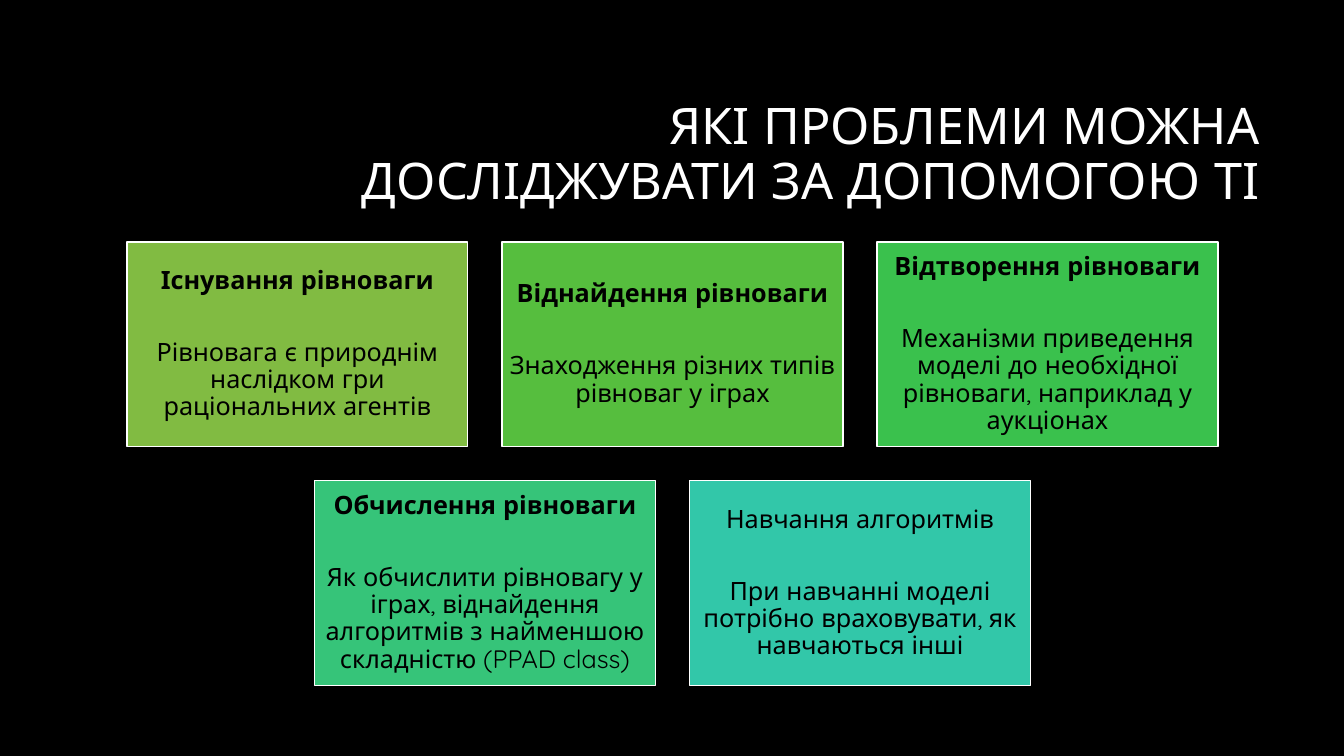
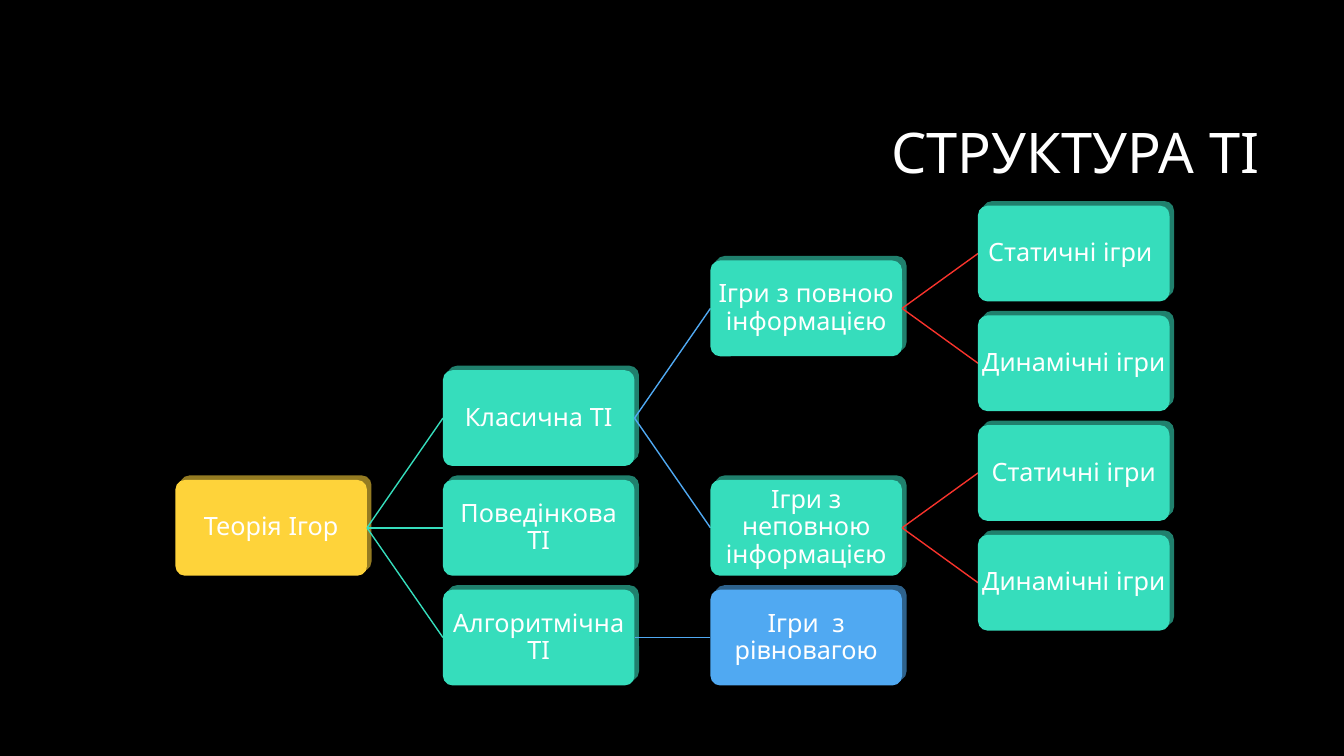
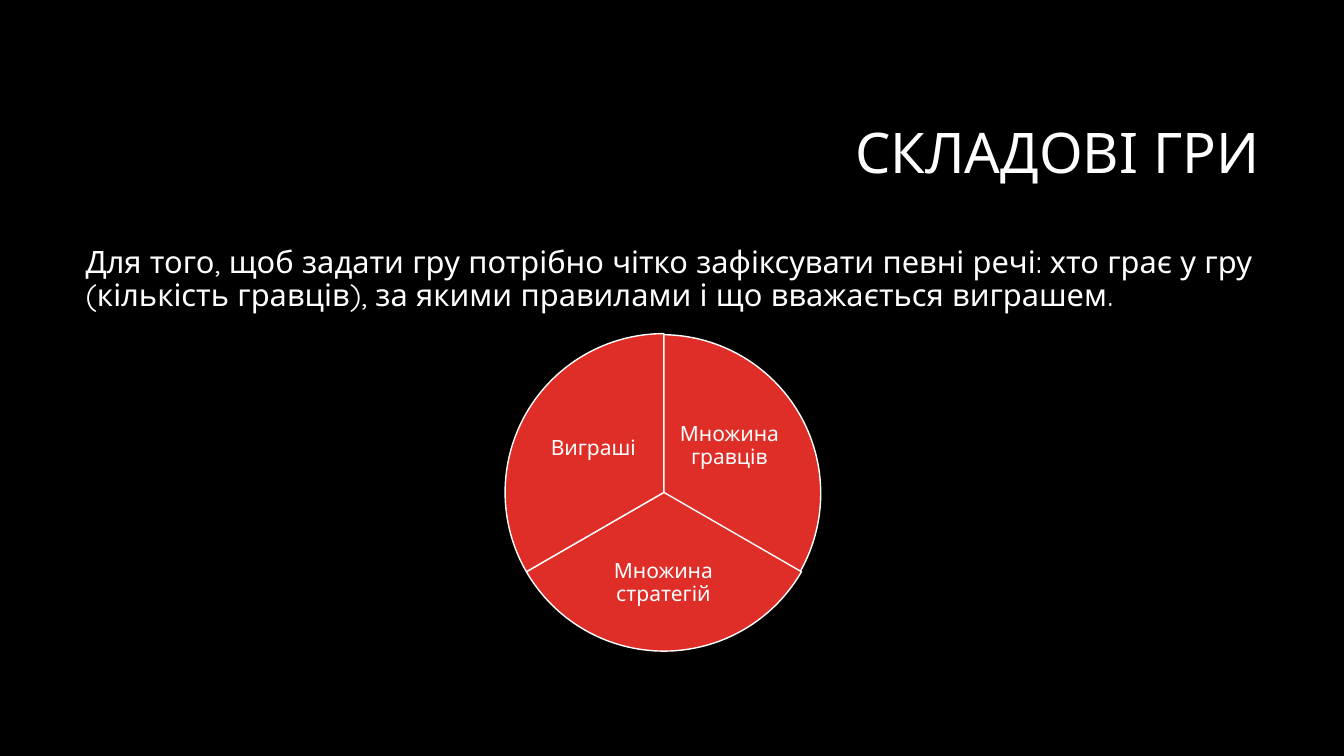
from dataclasses import dataclass
from typing import Any, NamedTuple

from lxml.etree import SubElement
from pptx import Presentation
from pptx.dml.color import RGBColor
from pptx.enum.shapes import MSO_CONNECTOR as Connector, MSO_SHAPE as Preset
from pptx.enum.text import MSO_ANCHOR as Anchor, PP_ALIGN as Align
from pptx.oxml.ns import qn
from pptx.util import Inches, Pt

BLACK = RGBColor(0x00, 0x00, 0x00)
WHITE = RGBColor(0xFF, 0xFF, 0xFF)
OLIVE = RGBColor(0x81, 0xBB, 0x42)
GRASS = RGBColor(0x56, 0xBE, 0x3E)
GREEN = RGBColor(0x3A, 0xC1, 0x4D)
JADE = RGBColor(0x36, 0xC4, 0x79)
TEAL = RGBColor(0x32, 0xC7, 0xA9)
RED = RGBColor(0xDF, 0x2E, 0x28)
BRIGHT_TEAL = RGBColor(0x36, 0xDD, 0xBC)
BRIGHT_BLUE = RGBColor(0x50, 0xA9, 0xF2)
BRIGHT_YELLOW = RGBColor(0xFE, 0xD3, 0x3A)
BRIGHT_RED = RGBColor(0xF8, 0x33, 0x2C)
DARK_SIDE = {
    BRIGHT_TEAL: RGBColor(0x20, 0x80, 0x6D),
    BRIGHT_BLUE: RGBColor(0x2E, 0x62, 0x8C),
    BRIGHT_YELLOW: RGBColor(0x94, 0x7B, 0x22),
}

FONT = "Quicksand"
SLIDE_WIDTH, SLIDE_HEIGHT = 13.33, 7.5


class Box(NamedTuple):
    left: float
    top: float
    width: float
    height: float

    def lengths(self) -> list[int]:
        return [Inches(value) for value in self]


class Grid(NamedTuple):
    left: float
    top: float
    column_step: float
    row_step: float
    width: float
    height: float

    def cell(self, column: float, row: float) -> Box:
        return Box(self.left + column * self.column_step, self.top + row * self.row_step,
                   self.width, self.height)


TITLE_BOX = Box(3.17, 0.84, 9.42, 1.41)
BODY_BOX = Box(0.75, 2.4, 11.83, 4.4)
CARD_GRID = Grid(1.26, 2.4, 3.72, 2.37, 3.38, 2.03)
TREE_GRID = Grid(1.74, 2.04, 7.96 / 3, 3.81 / 7, 1.9, 0.95)
TREE_DEPTH = 0.045


@dataclass(frozen=True)
class Card:
    column: float
    row: int
    fill: RGBColor
    heading: str
    body: str
    bold: bool = True


@dataclass(frozen=True)
class Node:
    label: str
    row: int
    fill: RGBColor = BRIGHT_TEAL
    children: tuple["Node", ...] = ()


@dataclass(frozen=True)
class Sector:
    label: str
    start: int
    end: int
    pie_box: Box
    label_box: Box


CARDS = (
    Card(0, 0, OLIVE, "Існування рівноваги",
         "Рівновага є природнім наслідком гри раціональних агентів"),
    Card(1, 0, GRASS, "Віднайдення рівноваги",
         "Знаходження різних типів рівноваг у іграх"),
    Card(2, 0, GREEN, "Відтворення рівноваги",
         "Механізми приведення моделі до необхідної рівноваги, наприклад у аукціонах"),
    Card(0.5, 1, JADE, "Обчислення рівноваги",
         "Як обчислити рівновагу у іграх, віднайдення алгоритмів з найменшою "
         "складністю (PPAD class)"),
    Card(1.5, 1, TEAL, "Навчання алгоритмів",
         "При навчанні моделі потрібно враховувати, як навчаються інші", bold=False),
)

BRANCH_COLORS = (BRIGHT_TEAL, BRIGHT_BLUE, BRIGHT_RED)
TREE = Node("Теорія Ігор", 5, BRIGHT_YELLOW, (
    Node("Класична ТІ", 3, children=(
        Node("Ігри з повною інформацією", 1, children=(
            Node("Статичні ігри ", 0), Node("Динамічні ігри", 2))),
        Node("Ігри з неповною інформацією", 5, children=(
            Node("Статичні ігри", 4), Node("Динамічні ігри", 6))),
    )),
    Node("Поведінкова ТІ", 5),
    Node("Алгоритмічна ТІ", 7, children=(
        Node("Ігри  з рівновагою", 7, BRIGHT_BLUE),)),
))

SECTORS = (
    Sector("Множина гравців", 270, 30, Box(4.99, 3.32, 3.15, 3.15), Box(6.7, 3.9, 1.07, 1.05)),
    Sector("Множина стратегій", 30, 150, Box(5.01, 3.31, 3.15, 3.15), Box(5.87, 5.3, 1.42, 0.97)),
    Sector("Виграші", 150, 270, Box(5.01, 3.31, 3.15, 3.15), Box(5.35, 3.93, 1.07, 1.05)),
)


def apply_values(target: Any, values: dict[str, Any]) -> None:
    for name, value in values.items():
        setattr(target, name, value)


def set_frame(shape: Any, anchor: Any, inset: float | None = None) -> None:
    values = {"word_wrap": True, "vertical_anchor": anchor}
    if inset is not None:
        sides = ("left", "top", "right", "bottom")
        values |= {f"margin_{side}": Inches(inset) for side in sides}
    apply_values(shape.text_frame, values)


def write_paragraph(paragraph: Any, text: str, size: float, color: RGBColor = WHITE,
                    align: Any = Align.CENTER, bold: bool = False, after: float = 0) -> None:
    paragraph.text = text
    apply_values(paragraph, {"alignment": align, "line_spacing": 0.9,
                             "space_before": Pt(0), "space_after": Pt(after)})
    apply_values(paragraph.font, {"name": FONT, "size": Pt(size), "bold": bold})
    paragraph.font.color.rgb = color


def add_text(slide: Any, box: Box, text: str, size: float, align: Any = Align.CENTER,
             anchor: Any = Anchor.MIDDLE, inset: float | None = None) -> None:
    shape = slide.shapes.add_textbox(*box.lengths())
    set_frame(shape, anchor, inset)
    write_paragraph(shape.text_frame.paragraphs[0], text, size, align=align)


def add_preset(slide: Any, preset: Any, box: Box, fill: RGBColor,
               outlined: bool = False, adjustments: tuple[float, ...] = ()) -> Any:
    shape = slide.shapes.add_shape(preset, *box.lengths())
    shape.shadow.inherit = False
    shape.fill.solid()
    shape.fill.fore_color.rgb = fill
    if outlined:
        shape.line.color.rgb = WHITE
        shape.line.width = Pt(1)
    else:
        shape.line.fill.background()
    for index, value in enumerate(adjustments):
        shape.adjustments[index] = value
    return shape


def add_titled_slide(presentation: Any, title: str, size: float = 40) -> Any:
    slide = presentation.slides.add_slide(presentation.slide_layouts[6])
    slide.background.fill.solid()
    slide.background.fill.fore_color.rgb = BLACK
    add_text(slide, TITLE_BOX, title, size, Align.RIGHT)
    return slide


def add_card(slide: Any, card: Card) -> None:
    shape = add_preset(slide, Preset.RECTANGLE, CARD_GRID.cell(card.column, card.row),
                       card.fill, outlined=True)
    set_frame(shape, Anchor.MIDDLE, 0.07)
    frame = shape.text_frame
    write_paragraph(frame.paragraphs[0], card.heading, 18, BLACK, bold=card.bold, after=32)
    write_paragraph(frame.add_paragraph(), card.body, 18, BLACK)


def add_branch(slide: Any, parent: Box, child: Box, color: RGBColor) -> None:
    points = (parent.left + parent.width, parent.top + parent.height / 2,
              child.left, child.top + child.height / 2)
    line = slide.shapes.add_connector(Connector.STRAIGHT, *[Inches(value) for value in points])
    line.line.color.rgb = color
    line.line.width = Pt(1)
    SubElement(line._element.spPr, qn("a:effectLst"))


def add_node(slide: Any, node: Node, column: int = 0) -> None:
    box = TREE_GRID.cell(column, node.row)
    side = box._replace(left=box.left + TREE_DEPTH, top=box.top - TREE_DEPTH)
    add_preset(slide, Preset.ROUNDED_RECTANGLE, side, DARK_SIDE[node.fill], adjustments=(0.1,))
    face = add_preset(slide, Preset.ROUNDED_RECTANGLE, box, node.fill, adjustments=(0.1,))
    set_frame(face, Anchor.MIDDLE, 0.01)
    write_paragraph(face.text_frame.paragraphs[0], node.label, 18)
    for child in node.children:
        add_branch(slide, box, TREE_GRID.cell(column + 1, child.row), BRANCH_COLORS[column])
        add_node(slide, child, column + 1)


def add_sector(slide: Any, sector: Sector) -> None:
    angles = (sector.start * 0.6, sector.end * 0.6)
    add_preset(slide, Preset.PIE, sector.pie_box, RED, outlined=True, adjustments=angles)
    add_text(slide, sector.label_box, sector.label, 15, inset=0.02)


def build_problems(presentation: Any) -> None:
    slide = add_titled_slide(presentation, "ЯКІ ПРОБЛЕМИ МОЖНА ДОСЛІДЖУВАТИ ЗА ДОПОМОГОЮ ТІ", 36)
    for card in CARDS:
        add_card(slide, card)


def build_structure(presentation: Any) -> None:
    add_node(add_titled_slide(presentation, "СТРУКТУРА ТІ"), TREE)


def build_components(presentation: Any) -> None:
    slide = add_titled_slide(presentation, "СКЛАДОВІ ГРИ")
    add_text(slide, BODY_BOX,
             "Для того, щоб задати гру потрібно чітко зафіксувати певні речі: хто грає у гру "
             "(кількість гравців), за якими правилами і що вважається виграшем.",
             22, Align.LEFT, Anchor.TOP)
    for sector in SECTORS:
        add_sector(slide, sector)


def main() -> None:
    presentation = Presentation()
    apply_values(presentation, {"slide_width": Inches(SLIDE_WIDTH),
                                "slide_height": Inches(SLIDE_HEIGHT)})
    for build in (build_problems, build_structure, build_components):
        build(presentation)
    presentation.save("out.pptx")


if __name__ == "__main__":
    main()
